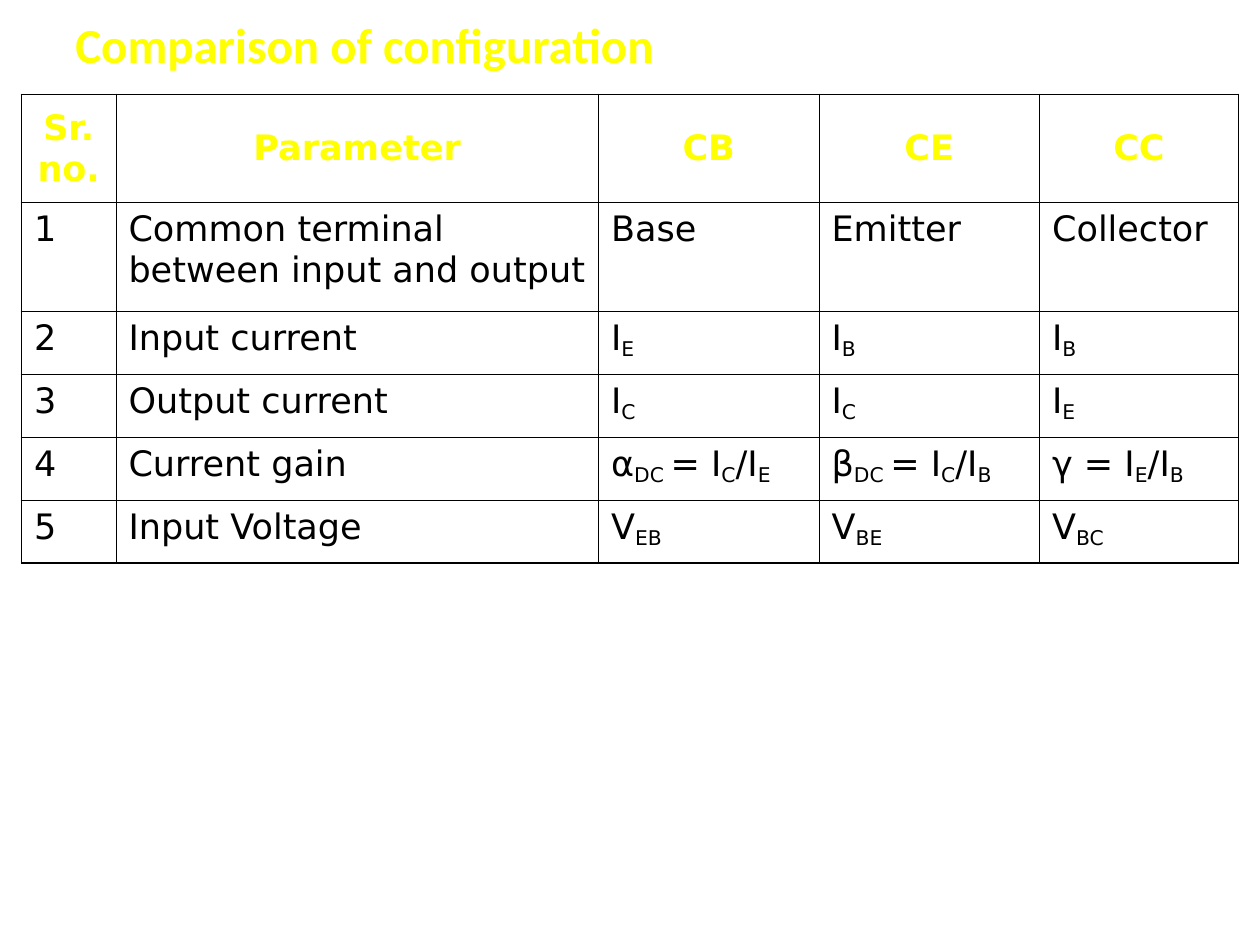
import pptx
import pptx.dml.color
import pptx.enum.text
import pptx.oxml
import pptx.oxml.ns
import pptx.util
from pptx.util import Inches

COLORS = {"heading": "FFFF00", "body": "000000", "border": "000000"}
TITLE_FONT = {"name": "Calibri", "size": pptx.util.Pt(28), "bold": True}
HEADER_FONT = {"name": "DejaVu Sans", "size": pptx.util.Pt(20), "bold": True}
BODY_FONT = {**HEADER_FONT, "bold": False}
THIN, THICK = 0.45, 1.08

COLUMN_WIDTHS = [0.75, 3.83, 1.75, 1.75, 1.58]
ROW_HEIGHTS = [0.86, 0.86, 0.5, 0.5, 0.5, 0.5]
# Bars switch between normal text and subscript.
ROWS = [
    ["Sr.no.", "Parameter", "CB", "CE", "CC"],
    ["1", "Common terminal between input and output", "Base", "Emitter", "Collector"],
    ["2", "Input current", "I|E", "I|B", "I|B"],
    ["3", "Output current", "I|C", "I|C", "I|E"],
    ["4", "Current gain", "α|DC |= I|C|/I|E", "β|DC |= I|C|/I|B", "γ = I|E|/I|B"],
    ["5", "Input Voltage", "V|EB", "V|BE", "V|BC"],
]


def add_runs(p, text, font, color):
    """Write text, with every second piece between bars as a subscript."""
    for i, piece in enumerate(text.split("|")):
        r = p.add_run()
        r.text = piece
        for name, value in font.items():
            setattr(r.font, name, value)
        r.font.color.rgb = pptx.dml.color.RGBColor.from_string(COLORS[color])
        if i % 2:
            r.font._element.set("baseline", "-18000")


def set_borders(cell, widths):
    tcPr = cell._tc.get_or_add_tcPr()
    for side in "LRTB":
        tcPr.append(pptx.oxml.parse_xml(
            f'<a:ln{side} {pptx.oxml.ns.nsdecls("a")} w="{pptx.util.Pt(widths[side])}">'
            f'<a:solidFill><a:srgbClr val="{COLORS["border"]}"/></a:solidFill>'
            f'</a:ln{side}>'))


def add_title(s, text):
    tf = s.shapes.add_textbox(Inches(0.5), Inches(0.08), Inches(9), Inches(0.53)).text_frame
    tf.word_wrap = True
    tf.vertical_anchor = pptx.enum.text.MSO_ANCHOR.MIDDLE
    add_runs(tf.paragraphs[0], text, TITLE_FONT, "heading")


def fill_cell(cell, text, is_header):
    p = cell.text_frame.paragraphs[0]
    p.space_before = pptx.util.Pt(5)
    if is_header:
        cell.vertical_anchor = pptx.enum.text.MSO_ANCHOR.MIDDLE
        p.alignment = pptx.enum.text.PP_ALIGN.CENTER
        add_runs(p, text, HEADER_FONT, "heading")
    else:
        add_runs(p, text, BODY_FONT, "body")


def add_comparison_table(s):
    n_rows, n_cols = len(ROWS), len(COLUMN_WIDTHS)
    table = s.shapes.add_table(
        n_rows, n_cols, Inches(0.17), Inches(0.75),
        Inches(sum(COLUMN_WIDTHS)), Inches(sum(ROW_HEIGHTS))).table
    table.first_row = table.horz_banding = False
    for column, width in zip(table.columns, COLUMN_WIDTHS):
        column.width = Inches(width)
    for row, height in zip(table.rows, ROW_HEIGHTS):
        row.height = Inches(height)
    for i, texts in enumerate(ROWS):
        for j, text in enumerate(texts):
            cell = table.cell(i, j)
            outer = {"L": j == 0, "R": j == n_cols - 1, "T": i == 0, "B": i == n_rows - 1}
            set_borders(cell, {side: THICK if edge else THIN for side, edge in outer.items()})
            cell.fill.background()
            fill_cell(cell, text, i == 0)


def main():
    prs = pptx.Presentation()
    prs.slide_width, prs.slide_height = Inches(10), Inches(7.5)
    s = prs.slides.add_slide(prs.slide_layouts[6])
    add_title(s, "Comparison of configuration")
    add_comparison_table(s)
    prs.save("out.pptx")


if __name__ == "__main__":
    main()
